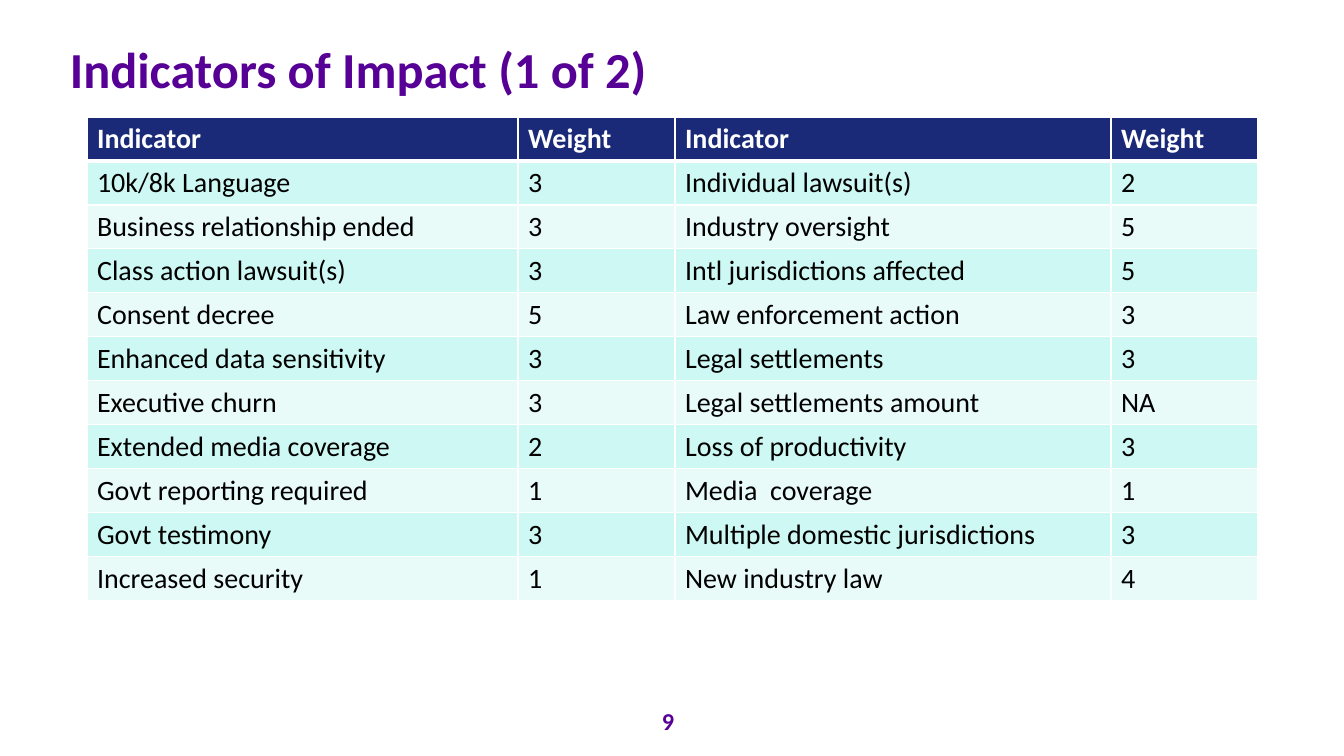
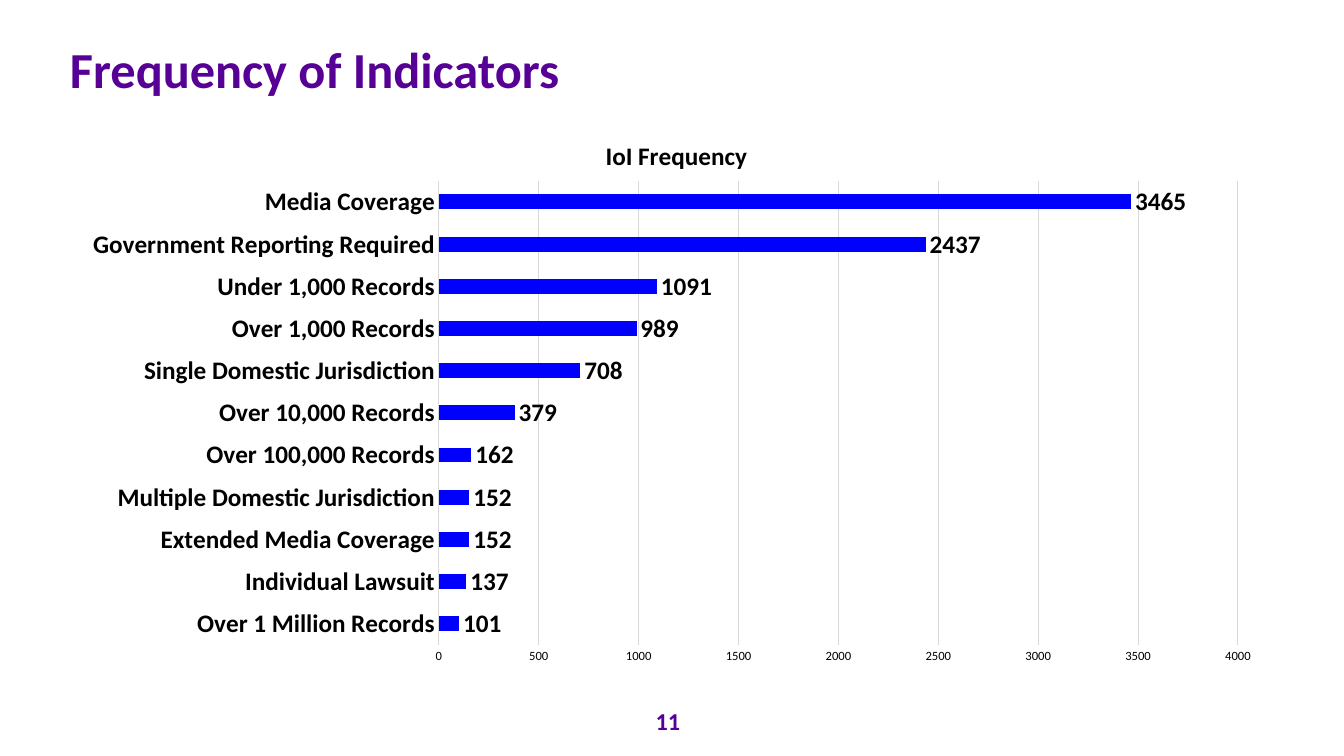
"""Build two slides on indicators of impact: a weight table and a frequency chart."""
from lxml.etree import SubElement
from pptx import Presentation
from pptx.chart.data import CategoryChartData
from pptx.dml.color import RGBColor
from pptx.enum.chart import XL_CHART_TYPE, XL_LABEL_POSITION, XL_TICK_MARK
from pptx.enum.text import MSO_ANCHOR, PP_ALIGN
from pptx.oxml import parse_xml
from pptx.oxml.ns import nsdecls, qn
from pptx.util import Emu, Pt

SCALE = 914400 / 100.8
FONT = "Calibri"
PURPLE, NAVY, BLUE = "560096", "1A2A78", "0000FF"
BLACK, WHITE, GRID = "000000", "FFFFFF", "D9D9D9"
BANDS = ("CDF8F4", "E8FBF9")

TITLE_AREA = (70, 10, 1188, 124)
NUMBER_AREA = (591, 701, 154, 40)
TABLE_CORNER = (87, 117)
COLUMN_WIDTHS = (431, 157, 436, 147)
ROW_HEIGHT = 44
CHART_AREA = (70, 113, 1205, 562)
PLOT_AREA = (439, 181, 799, 464)
CHART_TITLE_CORNER = (601, 134)

WEIGHTS = [
    ("Indicator", "Weight", "Indicator", "Weight"),
    ("10k/8k Language", "3", "Individual lawsuit(s)", "2"),
    ("Business relationship ended", "3", "Industry oversight", "5"),
    ("Class action lawsuit(s)", "3", "Intl jurisdictions affected", "5"),
    ("Consent decree", "5", "Law enforcement action", "3"),
    ("Enhanced data sensitivity", "3", "Legal settlements", "3"),
    ("Executive churn", "3", "Legal settlements amount", "NA"),
    ("Extended media coverage", "2", "Loss of productivity", "3"),
    ("Govt reporting required", "1", "Media  coverage", "1"),
    ("Govt testimony", "3", "Multiple domestic jurisdictions", "3"),
    ("Increased security", "1", "New industry law", "4"),
]
FREQUENCIES = [
    ("Over 1 Million Records", 101),
    ("Individual Lawsuit", 137),
    ("Extended Media Coverage", 152),
    ("Multiple Domestic Jurisdiction", 152),
    ("Over 100,000 Records", 162),
    ("Over 10,000 Records", 379),
    ("Single Domestic Jurisdiction", 708),
    ("Over 1,000 Records", 989),
    ("Under 1,000 Records", 1091),
    ("Government Reporting Required", 2437),
    ("Media Coverage", 3465),
]


def px(length):
    return Emu(round(length * SCALE))


def color(value):
    return RGBColor.from_string(value)


def style(font, size, tint, bold=False):
    font.name, font.size, font.bold = FONT, Pt(size), bold
    font.color.rgb = color(tint)


def add_text(page, area, text, size):
    box = page.shapes.add_textbox(*map(px, area))
    frame = box.text_frame
    frame.text = text
    frame.word_wrap = True
    frame.vertical_anchor = MSO_ANCHOR.MIDDLE
    style(frame.paragraphs[0].runs[0].font, size, PURPLE, True)
    return frame


def add_page(deck, title, number):
    page = deck.slides.add_slide(deck.slide_layouts[6])
    heading = add_text(page, TITLE_AREA, title, 36)
    heading.margin_left = heading.margin_right = 0
    heading.margin_top = heading.margin_bottom = 0
    heading.paragraphs[0].line_spacing = 0.9
    footer = add_text(page, NUMBER_AREA, number, 17.3)
    footer.paragraphs[0].alignment = PP_ALIGN.CENTER
    return page


def add_borders(cell, top, bottom):
    properties = cell._tc.get_or_add_tcPr()
    for side, width in (("L", 1), ("R", 1), ("T", top), ("B", bottom)):
        line = SubElement(properties, qn(f"a:ln{side}"), w=str(Pt(width)))
        fill = SubElement(line, qn("a:solidFill"))
        SubElement(fill, qn("a:srgbClr"), val=WHITE)


def add_weight_table(page):
    size = (sum(COLUMN_WIDTHS), ROW_HEIGHT * len(WEIGHTS))
    table = page.shapes.add_table(
        len(WEIGHTS), len(COLUMN_WIDTHS), *map(px, TABLE_CORNER + size)).table
    for column, width in zip(table.columns, COLUMN_WIDTHS):
        column.width = px(width)
    for index, (row, texts) in enumerate(zip(table.rows, WEIGHTS)):
        row.height = px(ROW_HEIGHT)
        header = index == 0
        for cell, text in zip(row.cells, texts):
            cell.text = text
            font = cell.text_frame.paragraphs[0].runs[0].font
            style(font, 20, WHITE if header else BLACK, header)
            add_borders(cell, 3 if index == 1 else 1, 3 if header else 1)
            cell.fill.solid()
            cell.fill.fore_color.rgb = color(NAVY if header else BANDS[(index - 1) % 2])


def make_layout(area, inner=False):
    left, top, width, height = CHART_AREA
    shares = zip("xywh", area, (left, top, 0, 0), (width, height, width, height))
    values = [(key, (value - start) / total) for key, value, start, total in shares]
    modes = "".join(f'<c:{key}Mode val="edge"/>' for key in "xy")
    parts = "".join(f'<c:{key} val="{share:.4f}"/>' for key, share in values)
    target = '<c:layoutTarget val="inner"/>' if inner else ""
    return parse_xml(f'<c:layout {nsdecls("c")}><c:manualLayout>{target}{modes}{parts}'
                     "</c:manualLayout></c:layout>")


def place_chart_parts(chart):
    root = chart.element
    for old in root.xpath(".//c:title/c:layout | .//c:plotArea/c:layout"):
        old.getparent().remove(old)
    root.xpath("c:chart/c:title/c:tx")[0].addnext(make_layout(CHART_TITLE_CORNER))
    root.xpath("c:chart/c:plotArea")[0].insert(0, make_layout(PLOT_AREA, True))


def set_line(line):
    line.color.rgb = color(GRID)
    line.width = Pt(0.75)


def add_frequency_chart(page):
    data = CategoryChartData()
    data.categories = [name for name, count in FREQUENCIES]
    data.add_series("Series 1", [count for name, count in FREQUENCIES])
    chart = page.shapes.add_chart(
        XL_CHART_TYPE.BAR_CLUSTERED, *map(px, CHART_AREA), data).chart
    style(chart.font, 10, BLACK)
    chart.has_legend = False
    chart.has_title = True
    heading = chart.chart_title.text_frame
    heading.text = "IoI Frequency"
    style(heading.paragraphs[0].runs[0].font, 18, BLACK, True)

    names, counts = chart.category_axis, chart.value_axis
    for axis in (names, counts):
        axis.major_tick_mark = axis.minor_tick_mark = XL_TICK_MARK.NONE
    style(names.tick_labels.font, 18, BLACK, True)
    set_line(names.format.line)
    style(counts.tick_labels.font, 9, BLACK)
    counts.minimum_scale, counts.maximum_scale, counts.major_unit = 0, 4000, 500
    counts.format.line.fill.background()
    counts.has_major_gridlines = True
    set_line(counts.major_gridlines.format.line)

    plot = chart.plots[0]
    plot.gap_width = 182
    plot.vary_by_categories = False
    bars = plot.series[0]
    bars.format.fill.solid()
    bars.format.fill.fore_color.rgb = color(BLUE)
    labels = bars.data_labels
    labels.show_value = True
    labels.position = XL_LABEL_POSITION.OUTSIDE_END
    style(labels.font, 18, BLACK, True)
    place_chart_parts(chart)


def main():
    deck = Presentation()
    deck.slide_width, deck.slide_height = px(1344), px(756)
    add_weight_table(add_page(deck, "Indicators of Impact (1 of 2)", "9"))
    add_frequency_chart(add_page(deck, "Frequency of Indicators", "11"))
    deck.save("out.pptx")


if __name__ == "__main__":
    main()
